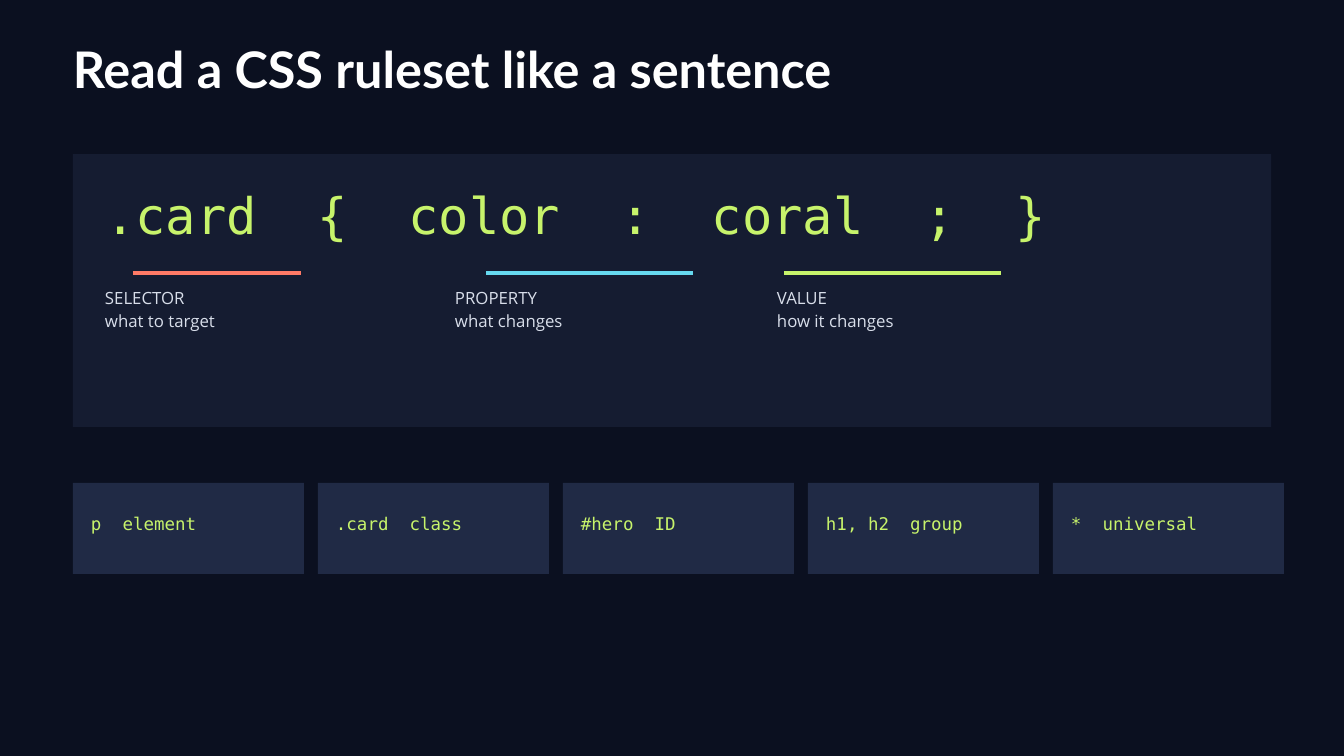
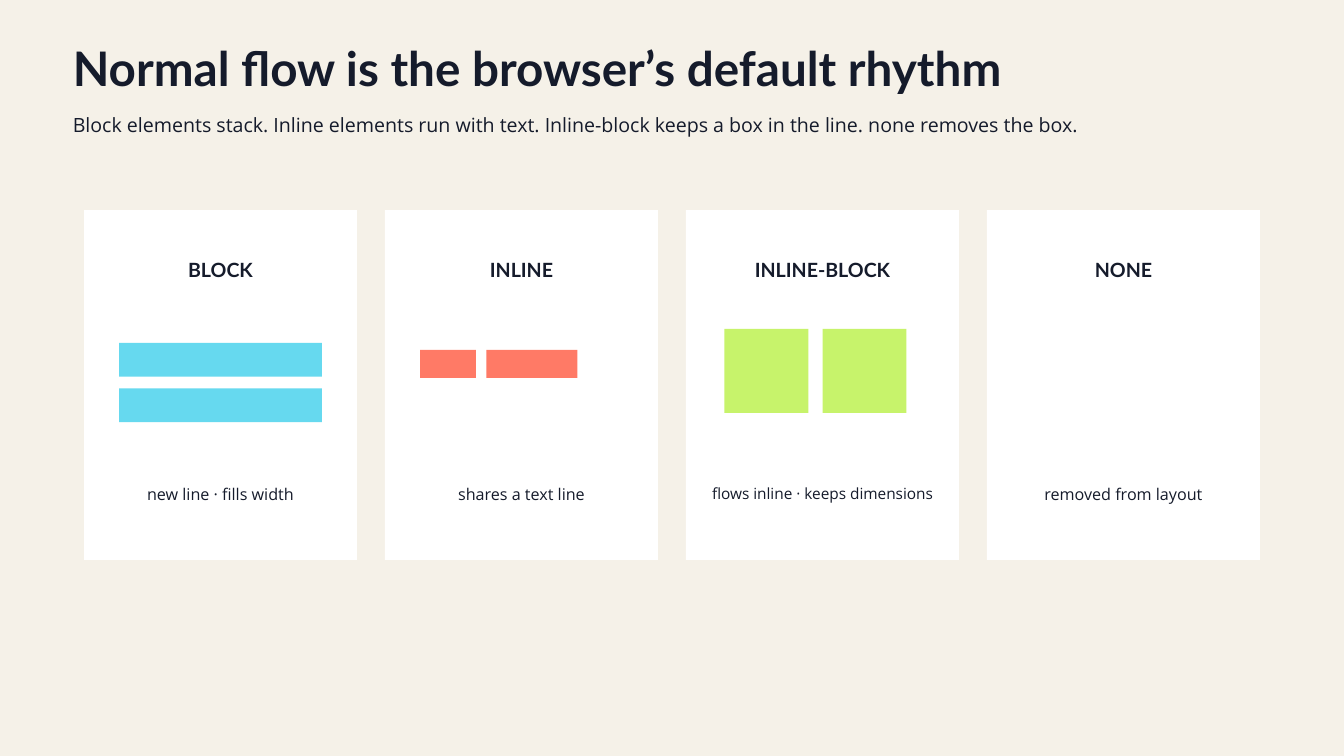
from pptx import Presentation
from pptx.dml.color import RGBColor
from pptx.enum.shapes import MSO_CONNECTOR, MSO_SHAPE
from pptx.enum.text import MSO_AUTO_SIZE, PP_ALIGN
from pptx.oxml.ns import qn
from pptx.util import Pt
from lxml import etree

RECTANGLE = MSO_SHAPE.RECTANGLE
STRAIGHT = MSO_CONNECTOR.STRAIGHT
GROW = MSO_AUTO_SIZE.SHAPE_TO_FIT_TEXT
LEFT, CENTER = PP_ALIGN.LEFT, PP_ALIGN.CENTER

NIGHT = RGBColor(0x0B, 0x10, 0x20)
PANEL = RGBColor(0x15, 0x1C, 0x31)
CHIP = RGBColor(0x20, 0x2A, 0x45)
MIST = RGBColor(0xD8, 0xDE, 0xEA)
CREAM = RGBColor(0xF5, 0xF1, 0xE8)
INK = RGBColor(0x15, 0x1B, 0x2B)
WHITE = RGBColor(0xFF, 0xFF, 0xFF)
CORAL = RGBColor(0xFF, 0x7A, 0x66)
CYAN = RGBColor(0x66, 0xD9, 0xEF)
LIME = RGBColor(0xC7, 0xF3, 0x6B)

HEADING, BODY, CODE = "Lato", "Open Sans", "DejaVu Sans Mono"
MARGIN = 78


def write(frame, text, font=BODY, size=18, color=INK, bold=False,
          align=LEFT, spacing=None):
    """Fill a text frame, one paragraph per line; spacing is in points."""
    for index, line in enumerate(text.split("\n")):
        paragraph = frame.paragraphs[0] if index == 0 else frame.add_paragraph()
        paragraph.alignment = align
        if spacing:
            paragraph.line_spacing = Pt(spacing)
        run = paragraph.add_run()
        run.text = line
        run.font.name = font
        run.font.size = Pt(size)
        run.font.bold = bold
        run.font.color.rgb = color


class Deck:
    """Holds the presentation, its style and the slide being built."""

    def __init__(self):
        self.presentation = Presentation()
        self.presentation.slide_width = Pt(1440)
        self.presentation.slide_height = Pt(810)
        self.slide = None

    def new_slide(self, background):
        layout = self.presentation.slide_layouts[6]
        self.slide = self.presentation.slides.add_slide(layout)
        fill = self.slide.background.fill
        fill.solid()
        fill.fore_color.rgb = background

    def text(self, x, y, width, height, text, **style):
        box = self.slide.shapes.add_textbox(Pt(x), Pt(y), Pt(width), Pt(height))
        frame = box.text_frame
        frame.word_wrap = True
        frame.auto_size = GROW
        frame.margin_left = frame.margin_right = 0
        frame.margin_top = frame.margin_bottom = 0
        write(frame, text, **style)

    def title(self, text, width, height, **style):
        self.text(MARGIN, 51, width, height, text, font=HEADING, bold=True, **style)

    def box(self, x, y, width, height, color):
        shape = self.slide.shapes.add_shape(
            RECTANGLE, Pt(x), Pt(y), Pt(width), Pt(height))
        shape.shadow.inherit = False
        shape.fill.solid()
        shape.fill.fore_color.rgb = color
        shape.line.fill.background()

    def underline(self, start, end, y, color):
        line = self.slide.shapes.add_connector(
            STRAIGHT, Pt(start), Pt(y), Pt(end), Pt(y))
        line.line.color.rgb = color
        line.line.width = Pt(3.75)
        etree.SubElement(line._element.spPr, qn("a:effectLst"))


def build_ruleset(deck):
    deck.new_slide(NIGHT)
    deck.title("Read a CSS ruleset like a sentence", 1050, 66,
               size=54, color=WHITE, spacing=55.1)
    deck.box(MARGIN, 165, 1284, 292.5, PANEL)
    deck.text(112.5, 189, 1215, 70.5, ".card  {  color  :  coral  ;  }",
              font=CODE, size=54, color=LIME, spacing=72.9)

    parts = [
        (112.5, "SELECTOR\nwhat to target", 142.5, 322.5, CORAL),
        (487.5, "PROPERTY\nwhat changes", 521.25, 742.5, CYAN),
        (832.5, "VALUE\nhow it changes", 840, 1072.5, LIME),
    ]
    for x, label, start, end, color in parts:
        deck.text(x, 306, 225, 46.5, label, color=MIST, spacing=24.3)
        deck.underline(start, end, 292.5, color)

    selectors = ["p  element", ".card  class", "#hero  ID",
                 "h1, h2  group", "*  universal"]
    for index, selector in enumerate(selectors):
        x = MARGIN + index * 262.5
        deck.box(x, 517.5, 247.5, 97.5, CHIP)
        deck.text(x + 19.5, 546.75, 232.5, 23.25, selector,
                  font=CODE, size=18.75, color=LIME, spacing=25.3)


def build_normal_flow(deck):
    deck.new_slide(CREAM)
    deck.title("Normal flow is the browser’s default rhythm", 1163, 63,
               size=51, color=INK, spacing=52)
    deck.text(MARGIN, 118, 1163, 27,
              "Block elements stack. Inline elements run with text. "
              "Inline-block keeps a box in the line. none removes the box.",
              size=21, spacing=28.4)

    # Each sample box is (offset in card, top, width, height).
    cards = [
        ("BLOCK", "new line · fills width", 17.25, CYAN,
         [(37.5, 367.5, 217.5, 36), (37.5, 416.25, 217.5, 36)]),
        ("INLINE", "shares a text line", 17.25, CORAL,
         [(37.5, 375, 60, 30), (108.75, 375, 97.5, 30)]),
        ("INLINE-BLOCK", "flows inline · keeps dimensions", 16.5, LIME,
         [(41.25, 352.5, 90, 90), (146.25, 352.5, 90, 90)]),
        ("NONE", "removed from layout", 17.25, None, []),
    ]
    for index, (name, caption, size, color, samples) in enumerate(cards):
        x = 90 + index * 322.5
        deck.box(x, 225, 292.5, 375, WHITE)
        deck.text(x + 22.5, 272, 247.5, 30, name, font=HEADING, size=21,
                  bold=True, align=CENTER, spacing=29.4)
        deck.text(x + 22.5, 516, 247.5, 21.75, caption, size=size,
                  align=CENTER, spacing=size * 1.35)
        for offset, top, width, height in samples:
            deck.box(x + offset, top, width, height, color)


def main():
    deck = Deck()
    build_ruleset(deck)
    build_normal_flow(deck)
    deck.presentation.save("out.pptx")


if __name__ == "__main__":
    main()
